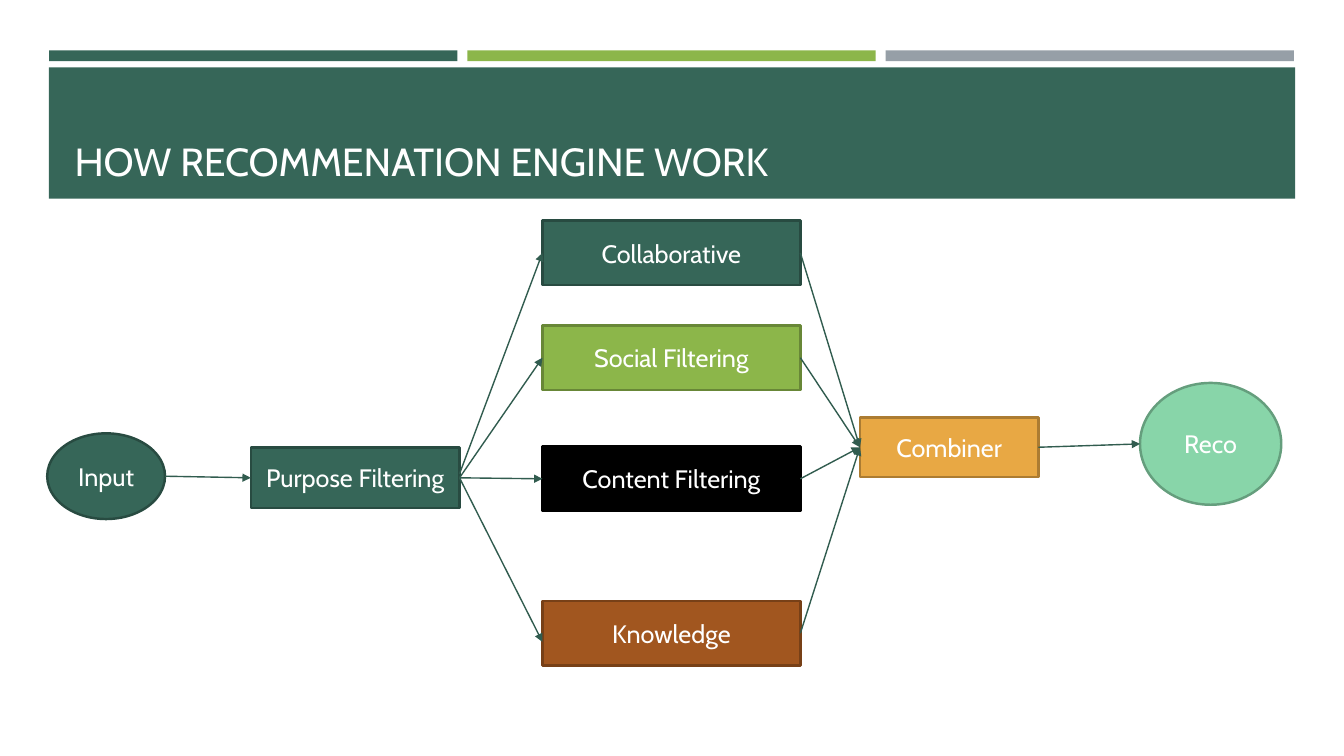
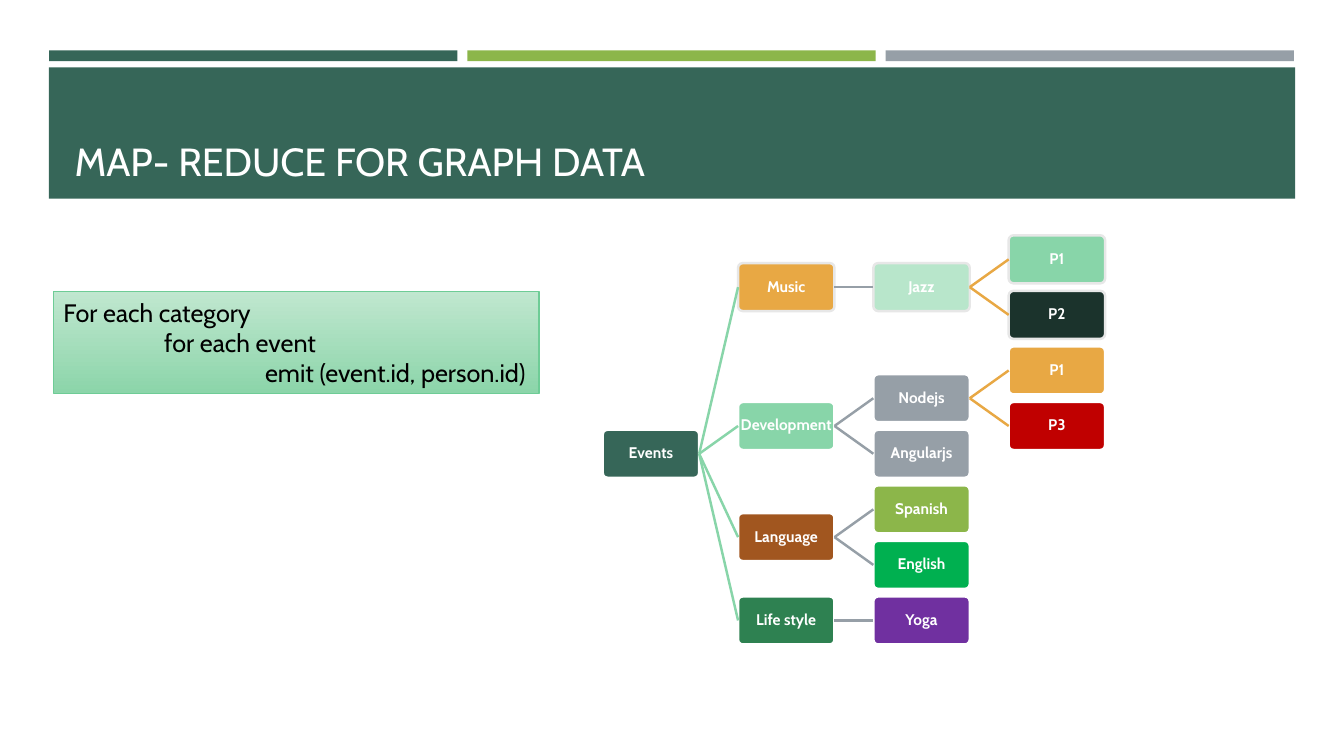
"""Build two slides on recommendation engines: a filtering flow and a category tree."""
from lxml import etree
from pptx import Presentation
from pptx.dml.color import RGBColor
from pptx.enum.shapes import MSO_CONNECTOR, MSO_SHAPE
from pptx.enum.text import MSO_ANCHOR, MSO_AUTO_SIZE, PP_ALIGN
from pptx.oxml.ns import qn
from pptx.util import Cm, Pt

RECT, ROUND, OVAL = MSO_SHAPE.RECTANGLE, MSO_SHAPE.ROUNDED_RECTANGLE, MSO_SHAPE.OVAL
STRAIGHT = MSO_CONNECTOR.STRAIGHT
MIDDLE, BOTTOM = MSO_ANCHOR.MIDDLE, MSO_ANCHOR.BOTTOM
LEFT, CENTER = PP_ALIGN.LEFT, PP_ALIGN.CENTER
GROW = MSO_AUTO_SIZE.SHAPE_TO_FIT_TEXT
LEFT_SITE, RIGHT_SITE = 1, 3

FONT = "Cabin"
GREEN, LIME, GREY, MINT = "366658", "8CB64A", "969FA7", "88D5A9"
AMBER, BROWN, WHITE, BLACK = "E8A844", "A1561F", "FFFFFF", "000000"
DARK_GREEN, ARROW, PALE_GREY = "284B41", "315C4F", "E7E7E7"

BANDS = [GREEN, LIME, GREY]
BAND_LEFT, BAND_TOP, BAND_W, BAND_H, BAND_PITCH = 1.24, 1.27, 10.29, 0.27, 10.54
PANEL = (1.23, 1.7, 31.41, 3.31)
TITLE_AREA = (1.63, 1.96, 30.63, 2.82)

FLOW_TITLE = "HOW RECOMMENATION ENGINE WORK"
FILTER_LEFT, FILTER_W, FILTER_H = 13.67, 6.5, 1.63
FILTERS = [
    ("Collaborative", 5.56, GREEN, DARK_GREEN),
    ("Social Filtering", 8.2, LIME, "688737"),
    ("Content Filtering", 11.25, BLACK, BLACK),
    ("Knowledge", 15.14, BROWN, "774017"),
]
STAGES = [
    ("Input", OVAL, (1.19, 10.92, 2.97, 2.16), GREEN, DARK_GREEN),
    ("Purpose Filtering", RECT, (6.32, 11.28, 5.26, 1.52), GREEN, DARK_GREEN),
    ("Combiner", RECT, (21.67, 10.52, 4.5, 1.5), AMBER, "AC7C32"),
    ("Reco", OVAL, (28.73, 9.65, 3.56, 3.07), MINT, "659E7D"),
]
FLOW_LINKS = [
    ("Input", "Purpose Filtering", 0, 0),
    ("Purpose Filtering", "Collaborative", -0.1, 0),
    ("Purpose Filtering", "Social Filtering", 0, 0),
    ("Purpose Filtering", "Content Filtering", 0, 0),
    ("Purpose Filtering", "Knowledge", 0, 0.22),
    *[(name, "Combiner", 0, 0) for name, *_ in FILTERS],
    ("Combiner", "Reco", 0, 0),
]

TREE_TITLE = "MAP- REDUCE FOR GRAPH DATA"
CODE_AREA = (1.35, 7.34, 12.24, 2.57)
CODE_LINES = ["For each category", "for each event", "emit (event.id, person.id)"]
CODE_STEP = 2.54
CODE_SHADES, CODE_EDGE = ("C0E7CF", "8CD5AA"), "6ECC96"

TREE_LEFT, TREE_TOP, COLUMN_PITCH, ROW_PITCH = 15.19, 5.93, 3.41, 1.4
NODE_W, NODE_H = 2.43, 1.21
LEVEL_LINKS = [MINT, GREY, AMBER]
ROOT = ("Events", GREEN, [])
ROOT_ROW = 3.5
BRANCHES = [
    (0.5, PALE_GREY, ("Music", AMBER, [
        ("Jazz", "B8E6CB", [("P1", MINT, []), ("P2", "1B332C", [])])])),
    (3, WHITE, ("Development", MINT, [
        ("Nodejs", GREY, [("P1", AMBER, []), ("P3", "C00000", [])]),
        ("Angularjs", GREY, [])])),
    (5, WHITE, ("Language", BROWN, [("Spanish", LIME, []), ("English", "00B050", [])])),
    (6.5, WHITE, ("Life style", "2E8151", [("Yoga", "7030A0", [])])),
]


def rgb(value):
    """Turn a hex string into a colour."""
    return RGBColor.from_string(value)


def write(sp, text, size, color=WHITE, align=CENTER, anchor=MIDDLE, bold=False):
    """Set and format the text of a shape."""
    tf = sp.text_frame
    tf.word_wrap = True
    tf.vertical_anchor = anchor
    tf.text = text
    for p in tf.paragraphs:
        p.alignment = align
        for r in p.runs:
            r.font.name, r.font.size, r.font.bold = FONT, Pt(size), bold
            r.font.color.rgb = rgb(color)
    return tf


def add_box(s, kind, area, fill=None, edge=None, width=1.75):
    """Add a flat shape with an optional fill and outline."""
    sp = s.shapes.add_shape(kind, *map(Cm, area))
    sp.shadow.inherit = False
    if fill:
        sp.fill.solid()
        sp.fill.fore_color.rgb = rgb(fill)
    if edge:
        sp.line.color.rgb = rgb(edge)
        sp.line.width = Pt(width)
    else:
        sp.line.fill.background()
    return sp


def add_link(s, start, end, color, width, start_dy=0, end_dy=0, arrow=False):
    """Draw a line from the right side of one shape to the left side of another."""
    y1 = start.top + start.height // 2 + Cm(start_dy)
    y2 = end.top + end.height // 2 + Cm(end_dy)
    link = s.shapes.add_connector(STRAIGHT, start.left + start.width, y1, end.left, y2)
    if start.auto_shape_type != OVAL and not start_dy:
        link.begin_connect(start, RIGHT_SITE)
    if end.auto_shape_type != OVAL and not end_dy:
        link.end_connect(end, LEFT_SITE)
    link.line.color.rgb = rgb(color)
    link.line.width = Pt(width)
    if arrow:
        etree.SubElement(link.line._get_or_add_ln(), qn("a:tailEnd")).set("type", "triangle")
    etree.SubElement(link._element.spPr, qn("a:effectLst"))


def new_slide(prs, title):
    """Add a blank slide with the colour bands, the panel and the title."""
    s = prs.slides.add_slide(prs.slide_layouts[6])
    for i, color in enumerate(BANDS):
        add_box(s, RECT, (BAND_LEFT + i * BAND_PITCH, BAND_TOP, BAND_W, BAND_H), color)
    add_box(s, RECT, PANEL, GREEN)
    write(s.shapes.add_textbox(*map(Cm, TITLE_AREA)), title, 28, align=LEFT, anchor=BOTTOM)
    return s


def build_flow(prs):
    """Build the filtering flow."""
    s = new_slide(prs, FLOW_TITLE)
    filters = [(name, RECT, (FILTER_LEFT, top, FILTER_W, FILTER_H), fill, edge)
               for name, top, fill, edge in FILTERS]
    boxes = {}
    for name, kind, area, fill, edge in filters + STAGES:
        boxes[name] = add_box(s, kind, area, fill, edge)
        write(boxes[name], name, 18)
    for start, end, start_dy, end_dy in FLOW_LINKS:
        add_link(s, boxes[start], boxes[end], ARROW, 1, start_dy, end_dy, arrow=True)


def add_code(s):
    """Add the pseudocode box, each line one step further in."""
    sp = add_box(s, RECT, CODE_AREA, edge=CODE_EDGE, width=1)
    sp.fill.gradient()
    sp.fill.gradient_angle = 270
    for stop, shade in zip(sp.fill.gradient_stops, CODE_SHADES):
        stop.color.rgb = rgb(shade)
    tf = write(sp, "\n".join(CODE_LINES), 18, BLACK, LEFT)
    tf.word_wrap = False
    tf.auto_size = GROW
    for level, p in enumerate(tf.paragraphs):
        p._p.get_or_add_pPr().set("marL", str(Cm(level * CODE_STEP)))


def add_node(s, node, level, row, edge, parent=None):
    """Add a tree node, its link and its children, centred on its row."""
    name, fill, children = node
    area = (TREE_LEFT + level * COLUMN_PITCH, TREE_TOP + row * ROW_PITCH, NODE_W, NODE_H)
    sp = add_box(s, ROUND, area, fill, edge)
    sp.adjustments[0] = 0.1
    tf = write(sp, name, 11, bold=True)
    tf.margin_left = tf.margin_right = tf.margin_top = tf.margin_bottom = Cm(0.03)
    tf.paragraphs[0].line_spacing = 0.9
    if parent:
        add_link(s, parent, sp, LEVEL_LINKS[level - 1], 1.75)
    first = row - (len(children) - 1) / 2
    for i, child in enumerate(children):
        add_node(s, child, level + 1, first + i, edge, sp)
    return sp


def build_tree(prs):
    """Build the pseudocode and the category tree."""
    s = new_slide(prs, TREE_TITLE)
    root = add_node(s, ROOT, 0, ROOT_ROW, WHITE)
    for row, edge, branch in BRANCHES:
        add_node(s, branch, 1, row, edge, root)
    add_code(s)


def main():
    """Build and save the presentation."""
    prs = Presentation()
    prs.slide_width, prs.slide_height = Cm(33.87), Cm(19.05)
    build_flow(prs)
    build_tree(prs)
    prs.save("out.pptx")


if __name__ == "__main__":
    main()
